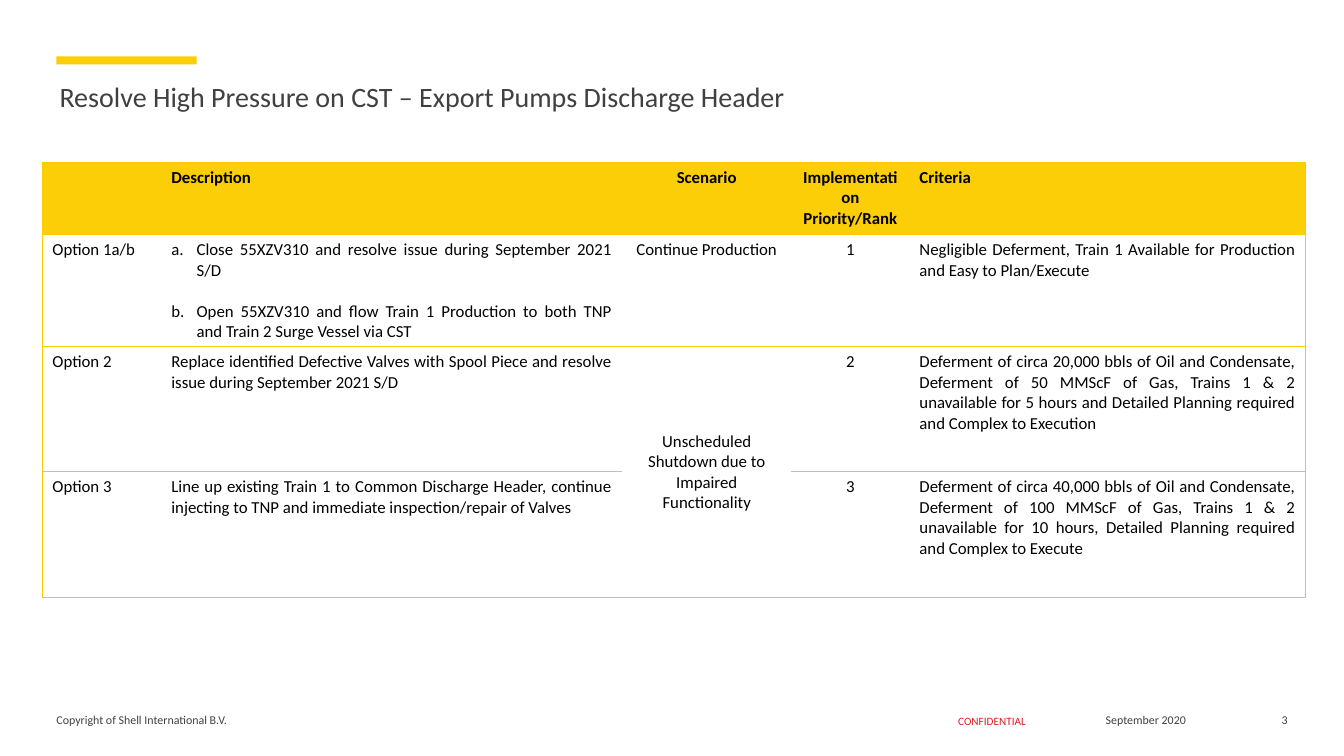
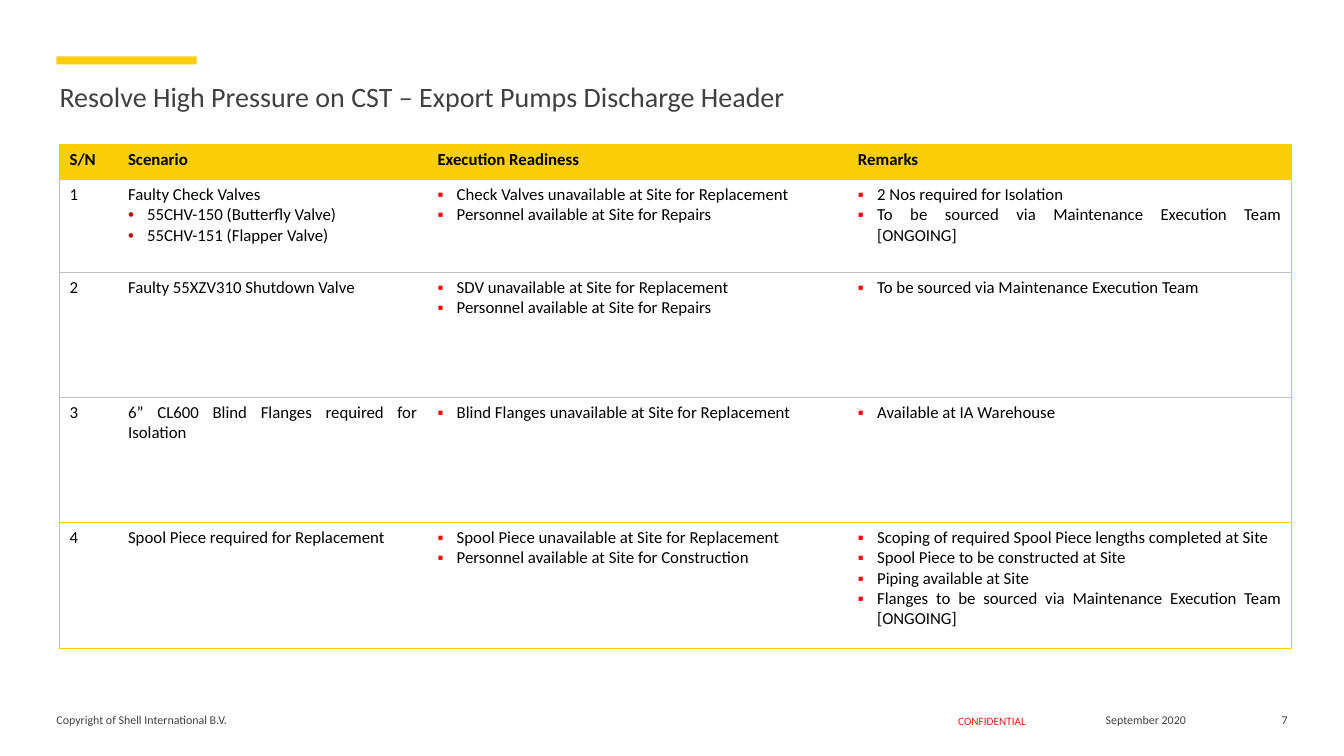
from lxml.etree import SubElement
from pptx import Presentation
from pptx.dml.color import RGBColor as RGB
from pptx.enum.shapes import MSO_SHAPE as Shape
from pptx.enum.text import MSO_ANCHOR as Anchor, PP_ALIGN as Align
from pptx.oxml.ns import qn
from pptx.util import Inches, Pt

YELLOW = RGB(0xFB, 0xCE, 0x07)
EDGE = RGB(0xFB, 0xCD, 0x01)
GRAY = RGB(0xBF, 0xBF, 0xBF)
DARK = RGB(0x40, 0x40, 0x40)
BLACK = RGB(0, 0, 0)
RED = RGB(0xDD, 0x1D, 0x21)
FONT = "Calibri"
PLAIN = "{2D5ABB26-0587-4C30-8999-92F81FD0307C}"  # table style without grid
LEFT, MID, RIGHT, EVEN = Align.LEFT, Align.CENTER, Align.RIGHT, Align.JUSTIFY

TITLE = "Resolve High Pressure on CST – Export Pumps Discharge Header"
FOOT = [  # text, box, size, colour, alignment
    ("Copyright of Shell International B.V.", (0.56, 7.07, 3.67, 0.26), 8.5, DARK, LEFT),
    ("CONFIDENTIAL", (9.25, 7.09, 1.18, 0.19), 8, RED, MID),
    ("September 2020", (10.58, 7.07, 1.57, 0.26), 8.5, DARK, MID),
]
PAGE = (12.38, 7.07, 0.39, 0.26)

# list mark: symbol (None for letters), colour, indent
MARKS = {
    "abc": (None, None, 0.25),
    "dot": ("•", "C00000", 0.19),
    "box": ("▪", "FF0000", 0.19),
}


def items(mark, *texts):
    return [(mark, text) for text in texts]


# "lines" holds the colour under each row
SLIDES = [
    dict(
        page=3, spot=(0.42, 1.61),
        cols=[1.18, 4.57, 1.68, 1.17, 3.93], rows=[0.72, 1.11, 1.24, 1.25],
        align=[EVEN, EVEN, MID, MID, EVEN],
        sides=(EDGE, GRAY), lines=[EDGE, EDGE, GRAY, GRAY],
        merge=((2, 2), (3, 2)), gap=14.6,
        cells=[
            ["", "Description", "Scenario", "Implementation Priority/Rank", "Criteria"],
            ["Option 1a/b",
             items("abc", "Close 55XZV310 and resolve issue during September 2021 S/D",
                   "Open 55XZV310 and flow Train 1 Production to both TNP "
                   "and Train 2 Surge Vessel via CST"),
             "Continue Production", "1",
             "Negligible Deferment, Train 1 Available for Production and Easy to Plan/Execute"],
            ["Option 2",
             "Replace identified Defective Valves with Spool Piece and resolve issue "
             "during September 2021 S/D",
             "Unscheduled Shutdown due to Impaired Functionality", "2",
             "Deferment of circa 20,000 bbls of Oil and Condensate, Deferment of 50 MMScF "
             "of Gas, Trains 1 & 2 unavailable for 5 hours and Detailed Planning required "
             "and Complex to Execution"],
            ["Option 3",
             "Line up existing Train 1 to Common Discharge Header, continue injecting "
             "to TNP and immediate inspection/repair of Valves",
             "", "3",
             "Deferment of circa 40,000 bbls of Oil and Condensate, Deferment of 100 MMScF "
             "of Gas, Trains 1 & 2 unavailable for 10 hours, Detailed Planning required "
             "and Complex to Execute"],
        ]),
    dict(
        page=7, spot=(0.59, 1.43),
        cols=[0.58, 3.07, 4.17, 4.4], rows=[0.35, 0.92, 1.24, 1.24, 1.25],
        align=[EVEN] * 4,
        sides=(GRAY, EDGE), lines=[EDGE, GRAY, GRAY, EDGE, EDGE],
        merge=None, gap=0,
        cells=[
            ["S/N", "Scenario", "Execution Readiness", "Remarks"],
            ["1",
             [(None, "Faulty Check Valves"),
              *items("dot", "55CHV-150 (Butterfly Valve)", "55CHV-151 (Flapper Valve)")],
             items("box", "Check Valves unavailable at Site for Replacement",
                   "Personnel available at Site for Repairs"),
             items("box", "2 Nos required for Isolation",
                   "To be sourced via Maintenance Execution Team [ONGOING]")],
            ["2", "Faulty 55XZV310 Shutdown Valve",
             items("box", "SDV unavailable at Site for Replacement",
                   "Personnel available at Site for Repairs"),
             items("box", "To be sourced via Maintenance Execution Team")],
            ["3", "6” CL600 Blind Flanges required for Isolation",
             items("box", "Blind Flanges unavailable at Site for Replacement"),
             items("box", "Available at IA Warehouse")],
            ["4", "Spool Piece required for Replacement",
             items("box", "Spool Piece unavailable at Site for Replacement",
                   "Personnel available at Site for Construction"),
             items("box", "Scoping of required Spool Piece lengths completed at Site",
                   "Spool Piece to be constructed at Site", "Piping available at Site",
                   "Flanges to be sourced via Maintenance Execution Team [ONGOING]")],
        ]),
]


def inches(box):
    return [Inches(n) for n in box]


def write(frame, text, size=12, color=BLACK, bold=False, align=LEFT, gap=0):
    """Fill a text frame from a string or a list of (mark, text) pairs."""
    lines = [(None, text)] if isinstance(text, str) else text
    for i, (mark, line) in enumerate(lines):
        par = frame.paragraphs[0] if i == 0 else frame.add_paragraph()
        par.alignment = align
        if i:
            par.space_before = Pt(gap)
        if mark:
            add_mark(par, *MARKS[mark])
        par.font.size = Pt(size)
        run = par.add_run()
        run.text = line
        font = run.font
        font.name, font.size, font.bold = FONT, Pt(size), bold
        font.color.rgb = color


def add_mark(par, sign, color, indent):
    props = par._p.get_or_add_pPr()
    props.set("marL", str(Inches(indent)))
    props.set("indent", str(-Inches(indent)))
    if sign is None:
        SubElement(props, qn("a:buAutoNum"), type="alphaLcPeriod")
        return
    SubElement(SubElement(props, qn("a:buClr")), qn("a:srgbClr"), val=color)
    SubElement(props, qn("a:buFont"), typeface="Arial")
    SubElement(props, qn("a:buChar"), char=sign)


def set_edges(cell, edges):
    """Draw cell borders; edges maps L, R, T, B (in that order) to a colour."""
    props = cell._tc.get_or_add_tcPr()
    for side, color in edges.items():
        if color is not None:
            line = SubElement(props, qn(f"a:ln{side}"), w=str(Pt(0.75)))
            SubElement(SubElement(line, qn("a:solidFill")), qn("a:srgbClr"), val=str(color))


def add_label(slide, text, box, size, color, align):
    frame = slide.shapes.add_textbox(*inches(box)).text_frame
    frame.word_wrap = True
    frame.margin_left = frame.margin_right = frame.margin_top = 0
    write(frame, text, size=size, color=color, align=align)


def add_frame(slide, page):
    """Add the band, title and footer that the slides share."""
    band = slide.shapes.add_shape(Shape.RECTANGLE, *inches((0.56, 0.56, 1.39, 0.08)))
    band.shadow.inherit = False
    band.fill.solid()
    band.fill.fore_color.rgb = YELLOW
    band.line.fill.background()

    title = slide.shapes.title
    title.left, title.top, title.width, title.height = inches((0.59, 0.79, 12.22, 0.82))
    frame = title.text_frame
    frame.margin_left = frame.margin_right = frame.margin_top = frame.margin_bottom = 0
    frame.vertical_anchor = Anchor.TOP
    write(frame, TITLE, size=20, color=DARK)

    for label in FOOT + [(str(page), PAGE, 8.5, DARK, RIGHT)]:
        add_label(slide, *label)


def add_grid(slide, data):
    cols, rows, lines = data["cols"], data["rows"], data["lines"]
    box = (*data["spot"], sum(cols), sum(rows))
    shape = slide.shapes.add_table(len(rows), len(cols), *inches(box))
    shape.element.find(".//" + qn("a:tableStyleId")).text = PLAIN
    table = shape.table
    for col, width in zip(table.columns, cols):
        col.width = Inches(width)
    for row, height in zip(table.rows, rows):
        row.height = Inches(height)

    merge = data["merge"]
    if merge:
        first, last = (table.cell(*spot) for spot in merge)
        first.merge(last)
        first.vertical_anchor = Anchor.MIDDLE

    for r, row in enumerate(data["cells"]):
        for c, text in enumerate(row):
            cell = table.cell(r, c)
            top = lines[r - 1] if r else EDGE
            low = lines[r]
            if cell.is_spanned:
                top = None
            elif cell.is_merge_origin:
                low = lines[r + cell.span_height - 1]
            set_edges(cell, {
                "L": data["sides"][0] if c == 0 else None,
                "R": data["sides"][1] if c == len(cols) - 1 else None,
                "T": top, "B": low})
            if r == 0:
                cell.fill.solid()
                cell.fill.fore_color.rgb = YELLOW
            else:
                cell.fill.background()
            if text:
                write(cell.text_frame, text, bold=r == 0,
                      align=data["align"][c], gap=data["gap"])


def main():
    deck = Presentation()
    deck.slide_width, deck.slide_height = Inches(13.33), Inches(7.5)
    for data in SLIDES:
        slide = deck.slides.add_slide(deck.slide_layouts[5])
        add_frame(slide, data["page"])
        add_grid(slide, data)
    deck.save("out.pptx")


if __name__ == "__main__":
    main()
